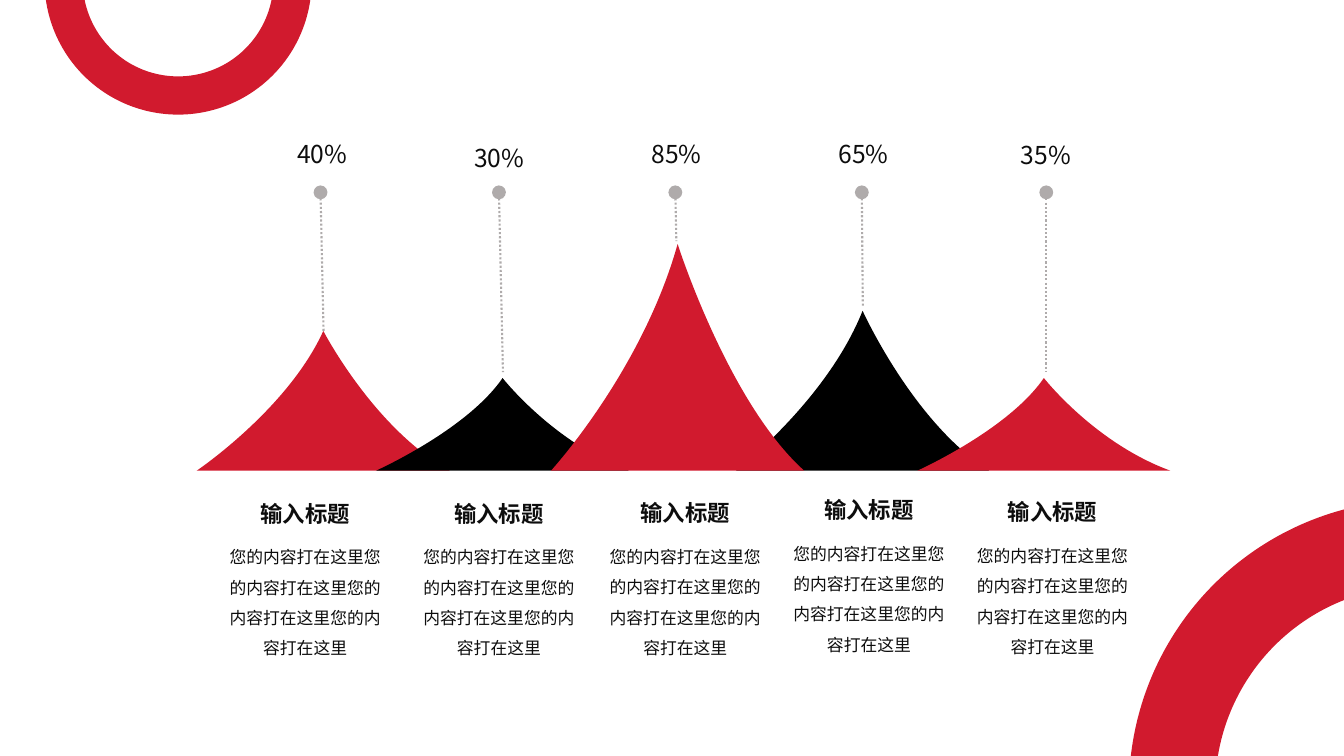
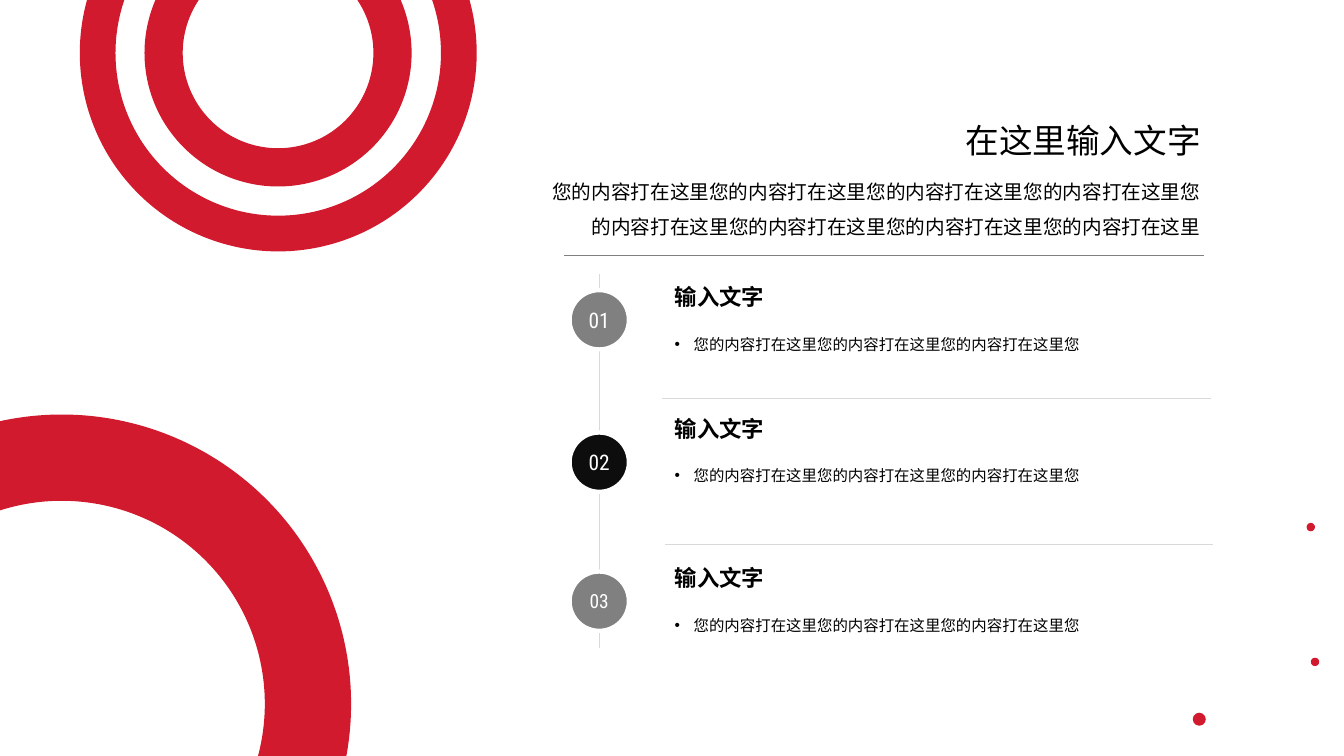
from lxml import etree
from pptx import Presentation
from pptx.dml.color import RGBColor
from pptx.enum.dml import MSO_LINE
from pptx.enum.shapes import MSO_CONNECTOR, MSO_SHAPE
from pptx.enum.text import MSO_ANCHOR, MSO_AUTO_SIZE, PP_ALIGN
from pptx.oxml.ns import qn
from pptx.util import Pt

# Shared style: a grid of 160 columns by 90 rows of square cells
CELL = 76200
COLS, ROWS = 160, 90
HUES = {"red": "D11A2E", "black": "000000", "ink": "0D0D0D", "gray": "808080",
        "pin": "AFABAB", "pale": "D9D9D9", "white": "FFFFFF"}
HUES = {name: RGBColor.from_string(code) for name, code in HUES.items()}
SANS, BODY, DIGIT = "Noto Sans CJK SC", "Calibri", "Roboto Condensed"
LEFT, MID, RIGHT = PP_ALIGN.LEFT, PP_ALIGN.CENTER, PP_ALIGN.RIGHT
TOP, CORE = MSO_ANCHOR.TOP, MSO_ANCHOR.MIDDLE
STRAIGHT, DOTTED = MSO_CONNECTOR.STRAIGHT, MSO_LINE.ROUND_DOT
DONUT, OVAL = MSO_SHAPE.DONUT, MSO_SHAPE.OVAL
PHRASE = "您的内容打在这里"


def cells(*nums):
    return [round(num * CELL) for num in nums]


def write(shape, text, size, hue="black", face=SANS, align=LEFT, anchor=TOP,
          bold=False, space=None, inset=True, wrap=True):
    frame = shape.text_frame
    frame.auto_size = MSO_AUTO_SIZE.NONE
    frame.word_wrap = wrap
    frame.vertical_anchor = anchor
    if not inset:
        frame.margin_left = frame.margin_right = 0
        frame.margin_top = frame.margin_bottom = 0
    para = frame.paragraphs[0]
    para.text = text
    para.alignment = align
    if space:
        para.line_spacing = space
    font = para.font
    font.size, font.bold, font.name = Pt(size), bold, face
    font.color.rgb = HUES[hue]
    props = para._p.get_or_add_pPr()
    etree.SubElement(props.find(qn("a:defRPr")), qn("a:ea"), typeface=face)
    return props


deck = Presentation()
deck.slide_width, deck.slide_height = cells(COLS, ROWS)
peaks = deck.slides.add_slide(deck.slide_layouts[6])
steps = deck.slides.add_slide(deck.slide_layouts[5])
flats, lines = [], []

# Slide 1: peaks as left, top, hue; label, its centre and top; pin start, pin end
BASE, WIDE, START = 56.04, 30.15, 22.9
hills = [
    (23.42, 39.4, "red", "40%", 38.38, 16.8, 38.16, (38.52, 39.4)),
    (44.76, 45, "black", "30%", 59.45, 17.23, 59.4, (59.88, 44.3)),
    (87.62, 37, "black", "65%", 102.8, 16.8, 102.6, (102.72, 36.4)),
    (65.6, 29.05, "red", "85%", 80.55, 16.72, 80.4, (80.52, 28.7)),
    (109.2, 45, "red", "35%", 124.5, 16.85, 124.56, (124.56, 44.3)),
]
# First control point of each flank, in shares of the peak's width and height
bends = [(0.7, 0.7), (0.36, 0.56)]

for left, top, hue, label, mid, high, pin, end in hills:
    pen = peaks.shapes.build_freeform(*cells(left, BASE), scale=1.0)
    pen.add_line_segments([cells(left + WIDE, BASE), cells(left + WIDE / 2, top),
                           cells(left, BASE)], close=True)
    hill = pen.convert_to_shape()
    flats.append((hill, hue))
    # Bend the two flanks into cubic curves that end straight at their goal
    sides = hill._element.findall(".//" + qn("a:lnTo"))[1:]
    for side, (x, y) in zip(sides, bends):
        side.tag = qn("a:cubicBezTo")
        goal = side[0]
        bend = {"x": str(round(x * hill.width)), "y": str(round(y * hill.height))}
        for spot in (bend, dict(goal.attrib)):
            goal.addprevious(etree.Element(qn("a:pt"), spot))

    box = peaks.shapes.add_textbox(*cells(mid - 5.95, high, 11.9, 3.1))
    write(box, label, 17.6, "ink", align=MID, anchor=CORE, inset=False, wrap=False)

    link = peaks.shapes.add_connector(STRAIGHT, *cells(pin, START, *end))
    link.line.dash_style = DOTTED
    etree.SubElement(link.get_or_add_ln(), qn("a:headEnd"),
                     type="oval", w="lg", len="lg")
    lines.append((link, "pin", 1.5))

# Captions below the peaks: centre and top
for mid, top in [(36.33, 59.53), (59.4, 59.53), (81.58, 59.5),
                 (103.45, 59.12), (125.3, 59.4)]:
    head = peaks.shapes.add_textbox(*cells(mid - 15.2, top, 30.4, 3.1))
    write(head, "输入标题", 16, "ink", align=MID, anchor=CORE, bold=True,
          inset=False, wrap=False)
    note = peaks.shapes.add_textbox(*cells(mid - 9.07, top + 1.3, 18.15, 20.6))
    write(note, PHRASE * 4, 12, "ink", align=MID, anchor=CORE, space=1.5, inset=False)

# Slide 2: title and lead
title = steps.shapes.title
title.left, title.top, title.width, title.height = cells(64.45, 10, 79.7, 13.3)
write(title, "在这里输入文字", 24, align=RIGHT, anchor=CORE)
lead = steps.shapes.add_textbox(*cells(64.45, 19.45, 79.7, 10.9))
write(lead, PHRASE * 8, 14, align=RIGHT, space=1.5)

# Spine, title rule and row rules
for ends, hue, weight in [((71.32, 32.6, 71.32, 77.2), "pale", 0.5),
                          ((67.2, 30.45, 143.3, 30.45), "gray", 0.75),
                          ((78.86, 47.4, 144.15, 47.4), "pale", 0.25),
                          ((79.2, 64.8, 144.4, 64.8), "pale", 0.25)]:
    link = steps.shapes.add_connector(STRAIGHT, *cells(*ends))
    lines.append((link, hue, weight))

# Numbered rows: badge top, text top
rows = [("01", 34.55, 33.12, "gray", 15.3),
        ("02", 51.5, 48.8, "ink", 15.3),
        ("03", 68.05, 66.6, "gray", 13.9)]
badges = []
for num, high, top, hue, size in rows:
    badge = steps.shapes.add_shape(OVAL, *cells(67.82, high, 7.05, 7.05))
    write(badge, num, size, "white", DIGIT, MID, CORE, inset=False)
    flats.append((badge, hue))
    badges.append(badge)

    note = steps.shapes.add_textbox(*cells(79.15, top + 4.82, 67, 9.6))
    props = write(note, PHRASE * 3 + "您", 11, face=BODY, space=1.6)
    indent = cells(2.25)[0]
    props.set("marL", str(indent))
    props.set("indent", str(-indent))
    runs = props.find(qn("a:defRPr"))
    runs.addprevious(etree.Element(qn("a:buFont"), typeface="Arial"))
    runs.addprevious(etree.Element(qn("a:buChar"), char="•"))
    head = steps.shapes.add_textbox(*cells(79.15, top, 67, 4.8))
    write(head, "输入文字", 16, bold=True)

# Rings and dots on both slides: left, top, size, band width
for slide, left, top, size, band in [
        (peaks, 5.3, -18.15, 31.8, 4.55), (peaks, 134.4, 59.5, 68.9, 10.27),
        (steps, 142, 84.85, 1.55, 0), (steps, 155.55, 62.25, 1, 0),
        (steps, 156.05, 78.3, 1, 0), (steps, -27.1, 49.35, 68.9, 10.27),
        (steps, 9.5, -17.32, 47.25, 4.25), (steps, 17.2, -9.6, 31.8, 4.55)]:
    ring = slide.shapes.add_shape(DONUT if band else OVAL,
                                  *cells(left, top, size, size))
    if band:
        ring.adjustments[0] = band / size
    flats.append((ring, "red"))

# Shared finish of shapes and lines
for shape, hue in flats:
    shape.shadow.inherit = False
    shape.fill.solid()
    shape.fill.fore_color.rgb = HUES[hue]
    shape.line.fill.background()
for badge in badges:
    badge.line.color.rgb = HUES["white"]
    badge.line.width = Pt(3)
for link, hue, weight in lines:
    link.line.color.rgb = HUES[hue]
    link.line.width = Pt(weight)
    etree.SubElement(link._element.spPr, qn("a:effectLst"))

deck.save("out.pptx")
